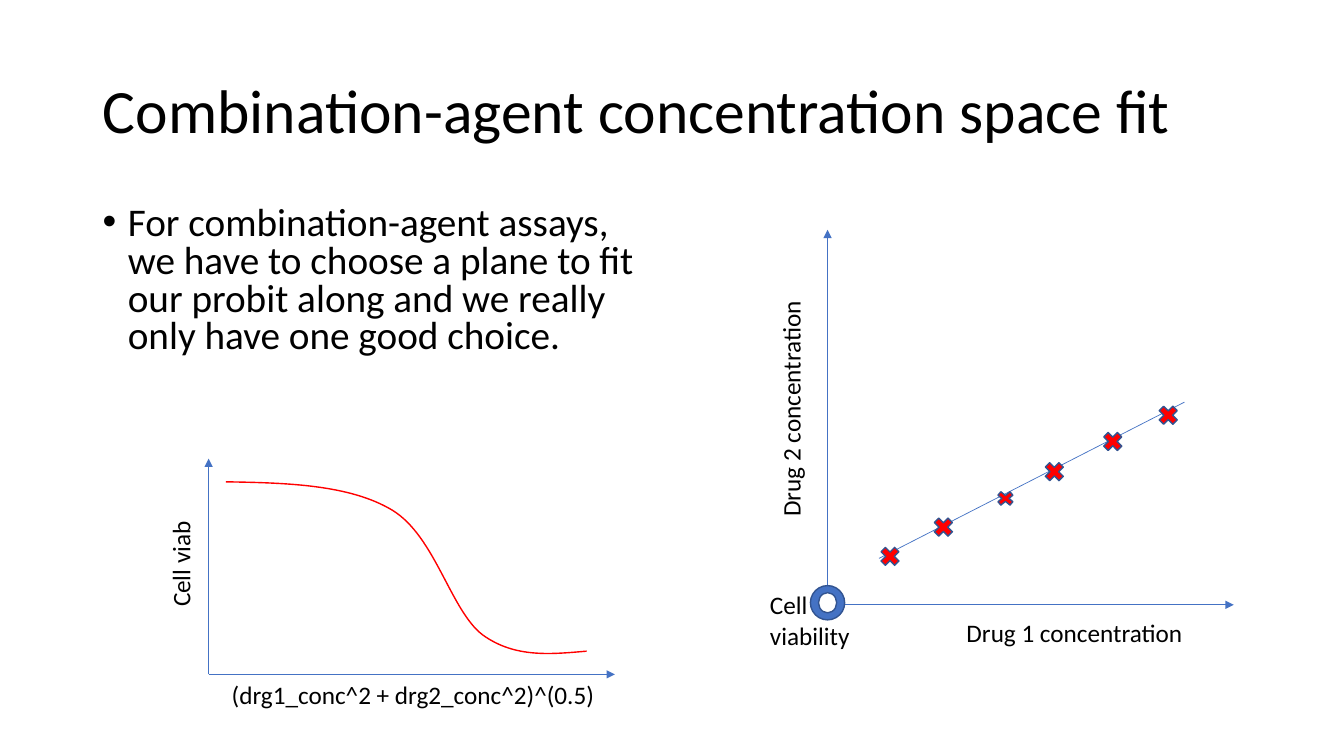
from pptx import Presentation
from pptx.dml.color import RGBColor
from pptx.enum.shapes import MSO_CONNECTOR, MSO_SHAPE
from pptx.enum.text import MSO_ANCHOR, MSO_AUTO_SIZE, PP_ALIGN
from pptx.oxml.ns import qn
from pptx.util import Inches, Pt
from lxml.etree import SubElement

COLS, ROWS = 40, 22.5
COLORS = {"text": "000000", "axis": "4472C4", "edge": "325491",
          "mark": "FF0000", "hole": "FFFFFF"}


class Deck:
    font = "Calibri"

    def __init__(self):
        self.prs = Presentation()
        self.prs.slide_width, self.prs.slide_height = Inches(13.33), Inches(7.5)
        self.s = self.prs.slides.add_slide(self.prs.slide_layouts[5])

    def color(self, name):
        return RGBColor.from_string(COLORS[name])

    def grid(self, *cells):
        steps = (self.prs.slide_width / COLS, self.prs.slide_height / ROWS)
        return [round(c * steps[i % 2]) for i, c in enumerate(cells)]

    def assign(self, target, values):
        for name, value in values.items():
            setattr(target, name, value)

    def add_text(self, tf, lines, size, frame, para=None):
        self.assign(tf, frame)
        for i, line in enumerate(lines):
            p = tf.add_paragraph() if i else tf.paragraphs[0]
            self.assign(p, {"alignment": PP_ALIGN.LEFT, **(para or {})})
            r = p.add_run()
            r.text = line
            self.assign(r.font, {"size": Pt(size), "name": self.font})
            r.font.color.rgb = self.color("text")

    def title(self, text, *box):
        sp = self.s.shapes.title
        self.assign(sp, dict(zip(("left", "top", "width", "height"), self.grid(*box))))
        self.add_text(sp.text_frame, [text], 44,
                      {"word_wrap": True, "auto_size": MSO_AUTO_SIZE.NONE,
                       "vertical_anchor": MSO_ANCHOR.MIDDLE}, {"line_spacing": 0.9})

    def bullet(self, text, *box):
        tf = self.s.shapes.add_textbox(*self.grid(*box)).text_frame
        self.add_text(tf, [text], 28, {"word_wrap": True},
                      {"line_spacing": 0.8, "space_before": Pt(10)})
        pPr = tf.paragraphs[0]._p.get_or_add_pPr()
        pPr.set("marL", str(Inches(0.25)))
        pPr.set("indent", str(Inches(-0.25)))
        SubElement(pPr, qn("a:buFont"), typeface="Arial")
        SubElement(pPr, qn("a:buChar"), char="•")

    def label(self, lines, *box, rotation=0):
        sp = self.s.shapes.add_textbox(*self.grid(*box))
        sp.rotation = rotation
        self.add_text(sp.text_frame, lines, 18,
                      {"word_wrap": False, "auto_size": MSO_AUTO_SIZE.SHAPE_TO_FIT_TEXT})

    def line(self, *ends, arrow=True):
        c = self.s.shapes.add_connector(MSO_CONNECTOR.STRAIGHT, *self.grid(*ends))
        c.line.color.rgb = self.color("axis")
        c.line.width = Pt(0.5)
        spPr = c.element.spPr
        if arrow:
            SubElement(spPr.find(qn("a:ln")), qn("a:tailEnd"), type="triangle")
        SubElement(spPr, qn("a:effectLst"))

    def outline(self, sp, color):
        sp.shadow.inherit = False
        sp.line.color.rgb = self.color(color)
        sp.line.width = Pt(1)

    def shape(self, kind, fill, *box):
        sp = self.s.shapes.add_shape(kind, *self.grid(*box))
        sp.fill.solid()
        sp.fill.fore_color.rgb = self.color(fill)
        self.outline(sp, "edge")

    def curve(self, color, points):
        start, *rest = [self.grid(*point) for point in points]
        builder = self.s.shapes.build_freeform(*start)
        builder.add_line_segments(rest, close=False)
        sp = builder.convert_to_shape()
        sp.fill.background()
        self.outline(sp, color)
        steps = list(sp.element.iter(qn("a:lnTo")))
        track = steps[0].getparent()
        for i in range(0, len(steps), 3):
            bezier = SubElement(track, qn("a:cubicBezTo"))
            for step in steps[i:i + 3]:
                bezier.append(step[0])
                track.remove(step)


def main():
    deck = Deck()
    deck.title("Combination-agent concentration space fit", 2.76, 1.2, 34.5, 4.35)
    deck.bullet("For combination-agent assays, we have to choose a plane to fit our "
                "probit along and we really only have one good choice.",
                2.76, 6, 17.25, 5.25)

    deck.line(24.63, 17.94, 24.63, 6.84)
    deck.line(24.63, 18, 36.72, 18)
    deck.shape(MSO_SHAPE.OVAL, "axis", 24.12, 17.43, 1.02, 1.02)
    deck.shape(MSO_SHAPE.OVAL, "hole", 24.36, 17.64, 0.54, 0.6)
    deck.label(["Drug 1 concentration"], 28.47, 18.24, 7.11, 1.2)
    deck.label(["Drug 2 concentration"], 19.98, 11.52, 7.11, 1.2, rotation=270)
    deck.label(["Cell", "viability"], 22.62, 17.4, 3, 2.13)

    deck.line(26.16, 16.62, 35.25, 11.97, arrow=False)
    big, small = (0.78, 0.78), (0.69, 0.57)
    for x, y, size in [(26.1, 16.17, big), (27.69, 15.3, big), (29.58, 14.55, small),
                       (30.99, 13.65, big), (32.73, 12.75, big), (34.38, 11.97, big)]:
        deck.shape(MSO_SHAPE.MATH_MULTIPLY, "mark", x, y, *size)

    deck.line(6.21, 20.07, 6.21, 13.65)
    deck.line(6.21, 20.07, 18.3, 20.07)
    deck.label(["(drg1_conc^2 + drg2_conc^2)^(0.5)"], 6.6, 20.07, 11.7, 1.2)
    deck.label(["Cell viab"], 3.78, 16.17, 3.18, 1.2, rotation=270)
    deck.curve("mark", [(6.72, 14.34),
                        (8.58, 14.37), (10.41, 14.43), (11.67, 15.18),
                        (12.96, 15.96), (13.41, 18.18), (14.37, 18.9),
                        (15.33, 19.59), (16.41, 19.47), (17.46, 19.38)])
    deck.prs.save("out.pptx")


if __name__ == "__main__":
    main()
